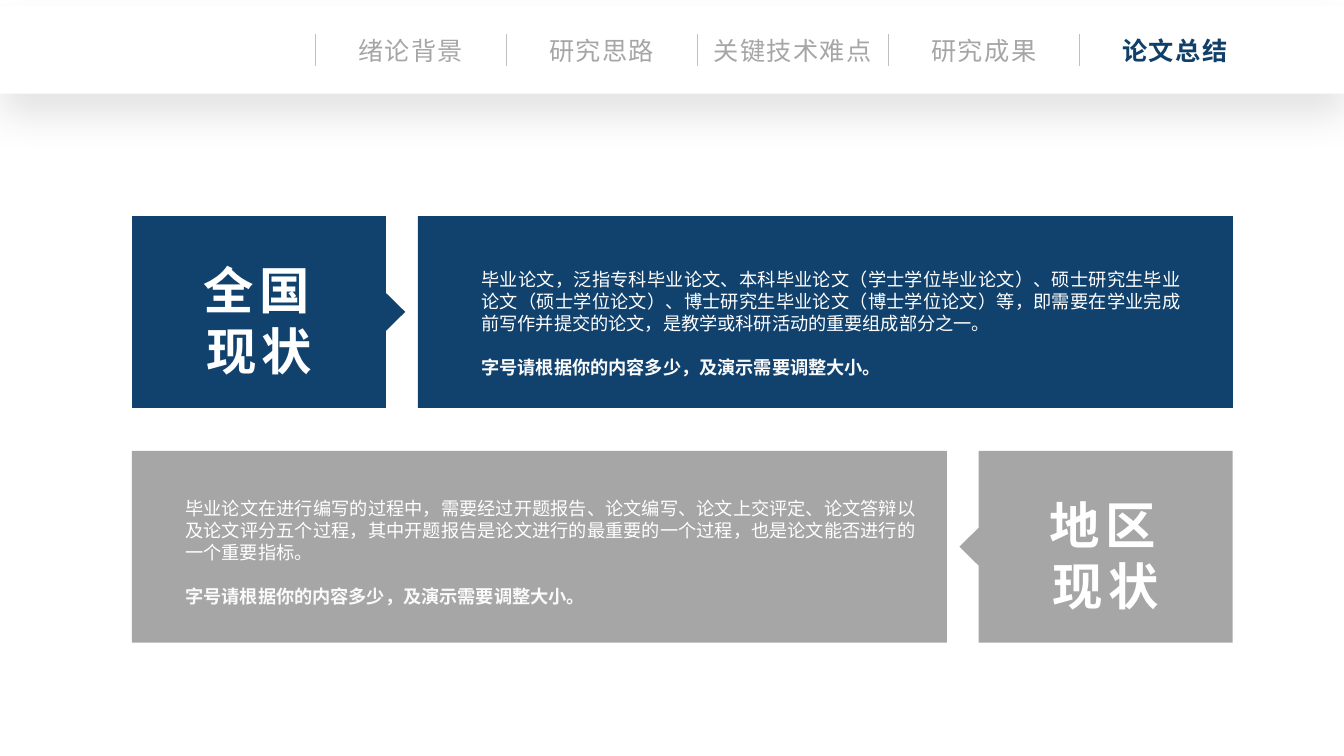
"""Build the thesis summary slide with a navigation bar and two status rows."""
from lxml import etree
from pptx import Presentation
from pptx.dml.color import RGBColor
from pptx.enum.shapes import MSO_CONNECTOR, MSO_SHAPE
from pptx.enum.text import PP_ALIGN
from pptx.oxml.ns import qn
from pptx.util import Pt

RECTANGLE = MSO_SHAPE.RECTANGLE
STRAIGHT = MSO_CONNECTOR.STRAIGHT
CENTER = PP_ALIGN.CENTER
JUSTIFY = PP_ALIGN.JUSTIFY

NAVY = RGBColor(0x11, 0x42, 0x6E)
ACTIVE_NAVY = RGBColor(0x10, 0x3F, 0x69)
GRAY = RGBColor(0xA6, 0xA6, 0xA6)
DIVIDER_GRAY = RGBColor(0xBF, 0xBF, 0xBF)
WHITE = RGBColor(0xFF, 0xFF, 0xFF)
NOTE_WHITE = RGBColor(0xFA, 0xFA, 0xFA)

FONT = "Noto Sans CJK SC"
LINE_RATIO = 1.2
SLIDE_WIDTH, SLIDE_HEIGHT = 960, 540
ROW_HEIGHT = 137
PANEL_WIDTH = 582
TITLE_WIDTH = 181.4
NOTCH_DEPTH, NOTCH_HALF = 13.7, 13.5
NAV_START, NAV_PITCH = 225.4, 136.45
NAV_LABELS = ["绪论背景", "研究思路", "关键技术难点", "研究成果", "论文总结"]

NATIONAL_TEXT = (
    "毕业论文，泛指专科毕业论文、本科毕业论文（学士学位毕业论文）、"
    "硕士研究生毕业论文（硕士学位论文）、博士研究生毕业论文（博士学位论文）等，"
    "即需要在学业完成前写作并提交的论文，是教学或科研活动的重要组成部分之一。"
)
REGIONAL_TEXT = (
    "毕业论文在进行编写的过程中，需要经过开题报告、论文编写、论文上交评定、"
    "论文答辩以及论文评分五个过程，其中开题报告是论文进行的最重要的一个过程，"
    "也是论文能否进行的一个重要指标。"
)
SIZE_NOTE = "字号请根据你的内容多少，及演示需要调整大小。"


def paint(shape, color):
    """Give a shape a plain fill without outline or shadow."""
    shape.shadow.inherit = False
    shape.fill.solid()
    shape.fill.fore_color.rgb = color
    shape.line.fill.background()


def add_rectangle(slide, left, top, width, height, color):
    """Add a plain filled rectangle."""
    shape = slide.shapes.add_shape(RECTANGLE, Pt(left), Pt(top), Pt(width), Pt(height))
    paint(shape, color)
    return shape


def add_text_box(slide, left, top, width, height, wrap=True):
    """Add an empty text box; wrapping boxes have no margins."""
    box = slide.shapes.add_textbox(Pt(left), Pt(top), Pt(width), Pt(height))
    frame = box.text_frame
    frame.word_wrap = wrap
    if wrap:
        frame.margin_left = frame.margin_right = 0
        frame.margin_top = frame.margin_bottom = 0
    return frame


def write(paragraph, text, size, color, alignment, bold=False, spacing=0):
    """Write one styled run into a paragraph."""
    paragraph.alignment = alignment
    paragraph.line_spacing = Pt(size * LINE_RATIO)
    run = paragraph.add_run()
    run.text = text
    run.font.size = Pt(size)
    run.font.bold = bold
    run.font.color.rgb = color
    run.font.name = FONT
    properties = run.font._element
    properties.set("lang", "zh-CN")
    properties.set("spc", str(round(spacing * 100)))
    etree.SubElement(properties, qn("a:ea"), typeface=FONT)


def add_title_block(slide, left, top, color, direction, title):
    """Add a title block whose notch points right (1) or left (-1)."""
    middle = top + ROW_HEIGHT / 2
    back, edge = (left, left + TITLE_WIDTH)[::direction]
    points = [
        (back, top), (edge, top), (edge, middle - NOTCH_HALF),
        (edge + direction * NOTCH_DEPTH, middle), (edge, middle + NOTCH_HALF),
        (edge, top + ROW_HEIGHT), (back, top + ROW_HEIGHT),
    ]
    corners = [(Pt(x), Pt(y)) for x, y in points]
    builder = slide.shapes.build_freeform(*corners[0])
    builder.add_line_segments(corners[1:], close=True)
    paint(builder.convert_to_shape(), color)
    frame = add_text_box(slide, left + 44.7, top + 31, 92.2, 87)
    write(frame.paragraphs[0], title, 36, WHITE, CENTER, bold=True, spacing=3.9)


def add_panel(slide, left, top, color, text, text_left, text_top, text_width):
    """Add a filled panel with a description and a bold note."""
    add_rectangle(slide, left, top, PANEL_WIDTH, ROW_HEIGHT, color)
    frame = add_text_box(slide, text_left, text_top, text_width, 78.5)
    write(frame.paragraphs[0], text, 13, WHITE, JUSTIFY)
    note = frame.add_paragraph()
    note.space_before = Pt(13 * LINE_RATIO)
    write(note, SIZE_NOTE, 13, NOTE_WHITE, JUSTIFY, bold=True)


def add_bar_shadow(shape):
    """Give the navigation bar a soft shadow below it."""
    effects = shape._element.spPr.find(qn("a:effectLst"))
    shadow = etree.SubElement(
        effects, qn("a:outerShdw"), blurRad=str(Pt(28)), dist=str(Pt(15)),
        dir="5400000", algn="t", rotWithShape="0",
    )
    color = etree.SubElement(shadow, qn("a:srgbClr"), val="000000")
    etree.SubElement(color, qn("a:alpha"), val="11000")


def add_divider(slide, x):
    """Add a thin vertical divider to the navigation bar."""
    line = slide.shapes.add_connector(STRAIGHT, Pt(x), Pt(24.5), Pt(x), Pt(47))
    line.line.color.rgb = DIVIDER_GRAY
    line.line.width = Pt(0.5)
    etree.SubElement(line._element.spPr, qn("a:effectLst"))


def add_navigation(slide):
    """Add the navigation bar with the last label active."""
    bar = add_rectangle(slide, 0, 4.3, SLIDE_WIDTH, 62.6, WHITE)
    add_bar_shadow(bar)
    for index, label in enumerate(NAV_LABELS):
        x = NAV_START + index * NAV_PITCH
        add_divider(slide, x)
        active = label == NAV_LABELS[-1]
        width = 19 * len(label) + 15.4
        frame = add_text_box(slide, x + 68 - width / 2, 22, width, 28.8, wrap=False)
        color = ACTIVE_NAVY if active else GRAY
        write(frame.paragraphs[0], label, 18, color, CENTER, bold=active, spacing=1)


def main():
    """Build and save the slide."""
    presentation = Presentation()
    presentation.slide_width = Pt(SLIDE_WIDTH)
    presentation.slide_height = Pt(SLIDE_HEIGHT)
    slide = presentation.slides.add_slide(presentation.slide_layouts[6])
    add_panel(slide, 298.6, 154.3, NAVY, NATIONAL_TEXT, 344, 192, 499)
    add_title_block(slide, 94.3, 154.3, NAVY, 1, "全国现状")
    add_panel(slide, 94.3, 322, GRAY, REGIONAL_TEXT, 132.5, 355.4, 521.3)
    add_title_block(slide, 699, 322, GRAY, -1, "地区现状")
    add_navigation(slide)
    presentation.save("out.pptx")


if __name__ == "__main__":
    main()
